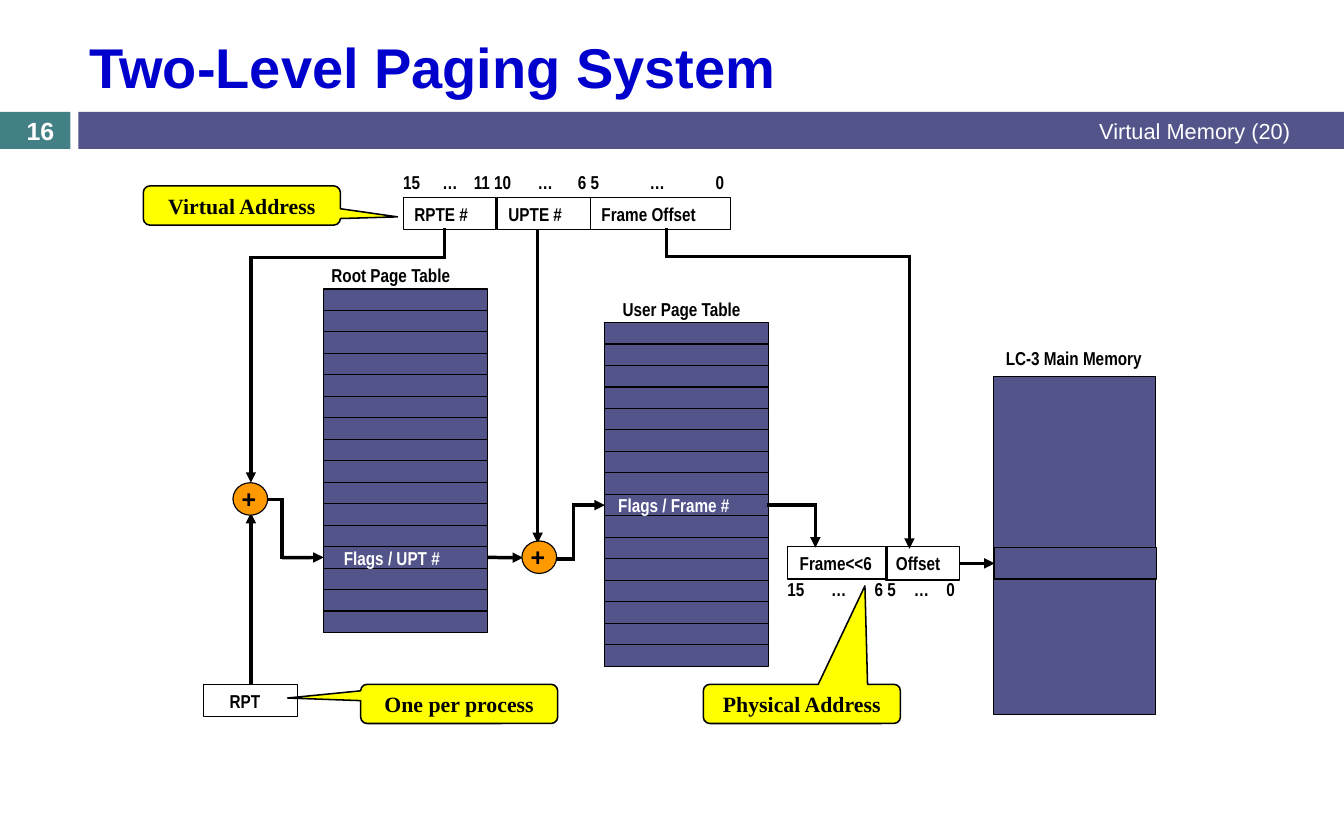
from lxml import etree
from pptx import Presentation
from pptx import util as u
from pptx.dml.color import RGBColor
from pptx.enum import shapes, text
from pptx.oxml.ns import qn

HUES = {"black": "000000", "white": "FFFFFF", "navy": "53548A", "teal": "438086",
        "blue": "0000CC", "gold": "FFFF00", "amber": "FF9900"}
KIND = shapes.MSO_SHAPE
SIDE = text.PP_ALIGN
TOP, LEFT, RIGHT = 0, 1, 3
ROWS, STEP = 16, 0.19175


def hue(name):
    return RGBColor.from_string(HUES[name])


def write(frame, words, size=12, font="Arial Narrow", color="black", bold=True,
          align=SIDE.LEFT, anchor=text.MSO_ANCHOR.TOP, pad=(0, 0), tabs=()):
    frame.word_wrap = True
    frame.vertical_anchor = anchor
    frame.margin_left = frame.margin_right = u.Inches(pad[0])
    frame.margin_top = frame.margin_bottom = u.Inches(pad[1])
    para = frame.paragraphs[0]
    para.alignment = align
    run = para.add_run()
    run.text = words
    run.font.size, run.font.name, run.font.bold = u.Pt(size), font, bold
    run.font.color.rgb = hue(color)
    if tabs:
        stops = etree.SubElement(para._p.get_or_add_pPr(), qn("a:tabLst"))
        for stop in tabs:
            etree.SubElement(stops, qn("a:tab"), pos=str(u.Inches(stop)), algn="l")


class Board:
    """Draws styled elements on the current slide."""

    def __init__(self, slide):
        self.slide = slide
        self.pad = (0.1, 0.05)
        self.mid = text.MSO_ANCHOR.MIDDLE

    def shape(self, x, y, w, h, fill=None, line=0.75, kind=KIND.RECTANGLE):
        item = self.slide.shapes.add_shape(kind, *map(u.Inches, (x, y, w, h)))
        item.shadow.inherit = False
        if fill:
            item.fill.solid()
            item.fill.fore_color.rgb = hue(fill)
        else:
            item.fill.background()
        if line:
            item.line.color.rgb = hue("black")
            item.line.width = u.Pt(line)
        else:
            item.line.fill.background()
        return item

    def label(self, x, y, w, words, h=0.2, **style):
        box = self.slide.shapes.add_textbox(*map(u.Inches, (x, y, w, h)))
        write(box.text_frame, words, **style)

    def field(self, x, y, w, words, inset=0.1, h=0.29):
        box = self.shape(x, y, w, h)
        self.label(x + inset, y + 0.05, w - inset, words)
        return box

    def table(self, x, y, name, shift, entry, index, inset):
        self.label(x + shift, y - 0.22, 1.36, name)
        rows = [self.shape(x, y + i * STEP, 1.46, STEP, "navy") for i in range(ROWS)]
        self.label(x + inset, y + index * STEP, 1.28, entry)
        label = self.slide.shapes[-1].text_frame.paragraphs[0].runs[0]
        label.font.color.rgb = hue("white")
        return rows[index]

    def adder(self, x, y):
        self.shape(x, y, 0.31, 0.29, "amber", kind=KIND.OVAL)
        self.label(x - 0.02, y - 0.04, 0.52, "+", h=0.37, size=16, font="Arial", pad=self.pad)

    def callout(self, x, y, words, tip):
        item = self.shape(x, y, 1.76, 0.35, "gold", 1, KIND.ROUNDED_RECTANGULAR_CALLOUT)
        item.adjustments[0], item.adjustments[1] = tip
        write(item.text_frame, words, size=14, font="Times New Roman",
              align=SIDE.CENTER, anchor=self.mid, pad=self.pad)

    def wire(self, *points, start=None, end=None):
        pairs = list(zip(points, points[1:]))
        last = len(pairs) - 1
        for i, (a, b) in enumerate(pairs):
            link = self.slide.shapes.add_connector(
                shapes.MSO_CONNECTOR.STRAIGHT, *map(u.Inches, (*a, *b)))
            if start and i == 0:
                link.begin_connect(*start)
            if end and i == last:
                link.end_connect(*end)
            link.line.color.rgb = hue("black")
            link.line.width = u.Pt(2.25)
            prop = link._element.spPr
            line = prop.find(qn("a:ln"))
            if i == last:
                etree.SubElement(line, qn("a:tailEnd"), type="triangle")
            else:
                line.set("cap", "sq")
            etree.SubElement(prop, qn("a:effectLst"))


def main():
    deck = Presentation()
    deck.slide_width, deck.slide_height = u.Inches(12), u.Inches(7.5)
    board = Board(deck.slides.add_slide(deck.slide_layouts[6]))
    head = dict(font="Arial", anchor=board.mid, pad=board.pad)

    board.shape(0, 1, 0.63, 0.33, "teal", 0)
    board.shape(0.7, 1, 11.3, 0.33, "navy", 0)
    board.label(0.7, 0.19, 10.91, "Two-Level Paging System", h=0.8, size=36, color="blue", **head)
    board.label(6.17, 1, 5.45, "Virtual Memory (20)", h=0.33, size=14, color="white",
                bold=False, align=SIDE.RIGHT, **head)
    board.label(0, 1.02, 0.72, "16", h=0.3, size=16, color="white", align=SIDE.CENTER, **head)

    board.label(3.6, 1.53, 3.02, "15\t…\t11 10\t…\t6 5\t…\t0",
                tabs=(0.35, 0.63, 1.2, 1.56, 2.2, 2.79))
    for x, w, words in ((3.6, 0.83, "RPTE #"), (4.44, 0.83, "UPTE #"), (5.27, 1.25, "Frame Offset")):
        board.field(x, 1.76, w, words)

    root = board.table(2.89, 2.58, "Root Page Table", 0.07, "Flags / UPT #", 12, 0.18)
    user = board.table(5.4, 2.88, "User Page Table", 0.16, "Flags / Frame #", 8, 0.12)
    board.label(8.98, 3.1, 1.25, "LC-3 Main Memory")
    board.shape(8.87, 3.36, 1.45, 3.02, "navy")
    cell = board.shape(8.88, 4.89, 1.45, 0.28, "navy")
    base = board.field(1.82, 6.11, 0.84, "RPT", 0.23)
    board.field(7.03, 4.88, 0.89, "Frame<<6", 0.11)
    offset = board.field(7.91, 4.88, 0.66, "Offset", 0.09, 0.3)
    board.label(7.03, 5.16, 1.58, "15\t…\t6 5\t…\t0", tabs=(0.39, 0.78, 1.13, 1.42))

    board.wire((3.97, 2.05), (3.97, 2.3), (2.24, 2.3), (2.24, 4.31))
    board.wire((4.8, 2.05), (4.8, 4.85))
    board.wire((5.95, 2.05), (5.95, 2.29), (8.12, 2.29), (8.12, 4.9))
    board.wire((2.24, 6.11), (2.24, 4.58), start=(base, TOP))
    board.wire((2.34, 4.46), (2.52, 4.46), (2.52, 4.98), (2.89, 4.98), end=(root, LEFT))
    board.wire((4.35, 4.98), (4.67, 4.98), start=(root, RIGHT))
    board.wire((4.97, 4.99), (5.12, 4.99), (5.12, 4.51), (5.4, 4.51), end=(user, LEFT))
    board.wire((6.86, 4.51), (7.28, 4.51), (7.28, 4.89), start=(user, RIGHT))
    board.wire((8.57, 5.03), (8.88, 5.03), start=(offset, RIGHT), end=(cell, LEFT))
    board.adder(2.08, 4.31)
    board.adder(4.66, 4.83)

    board.callout(1.28, 1.66, "Virtual Address", (0.79, 0.29))
    board.callout(3.22, 6.11, "One per process", (-0.87, -0.15))
    board.callout(6.28, 6.11, "Physical Address", (0.32, -3.01))
    deck.save("out.pptx")


if __name__ == "__main__":
    main()
